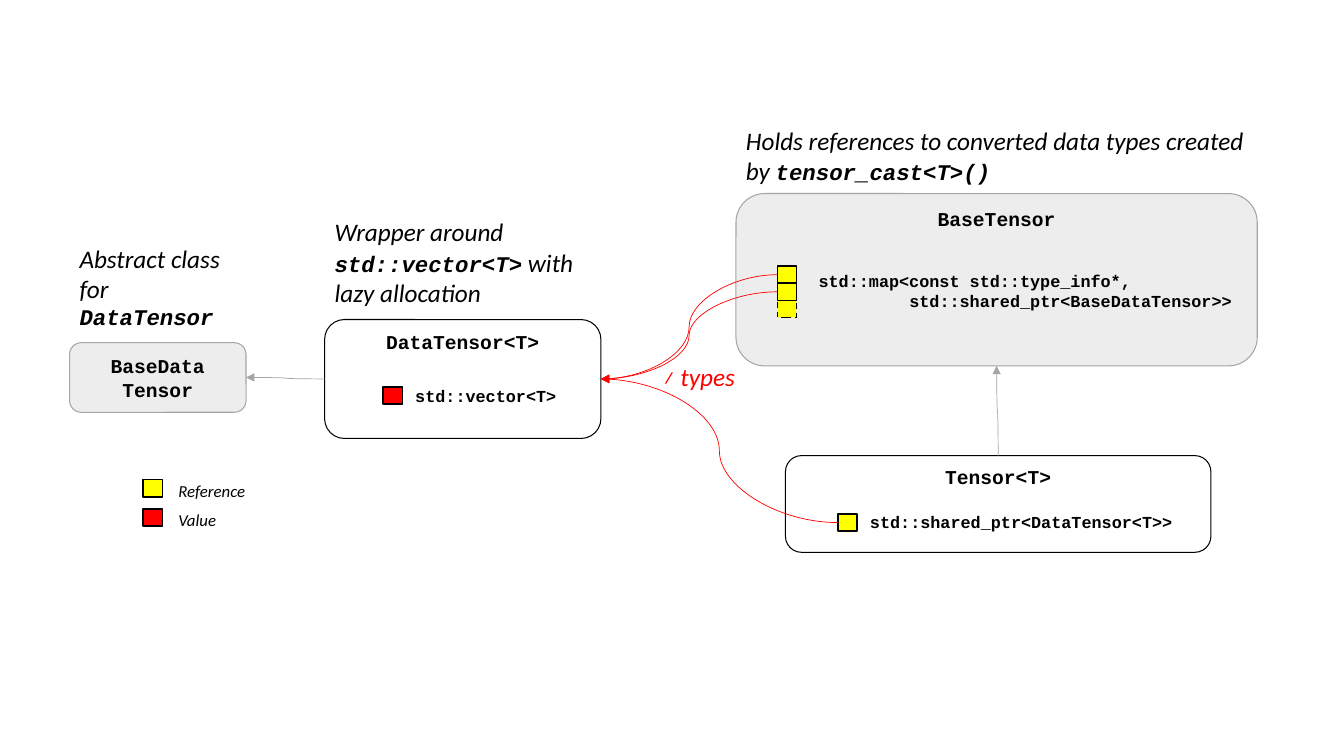
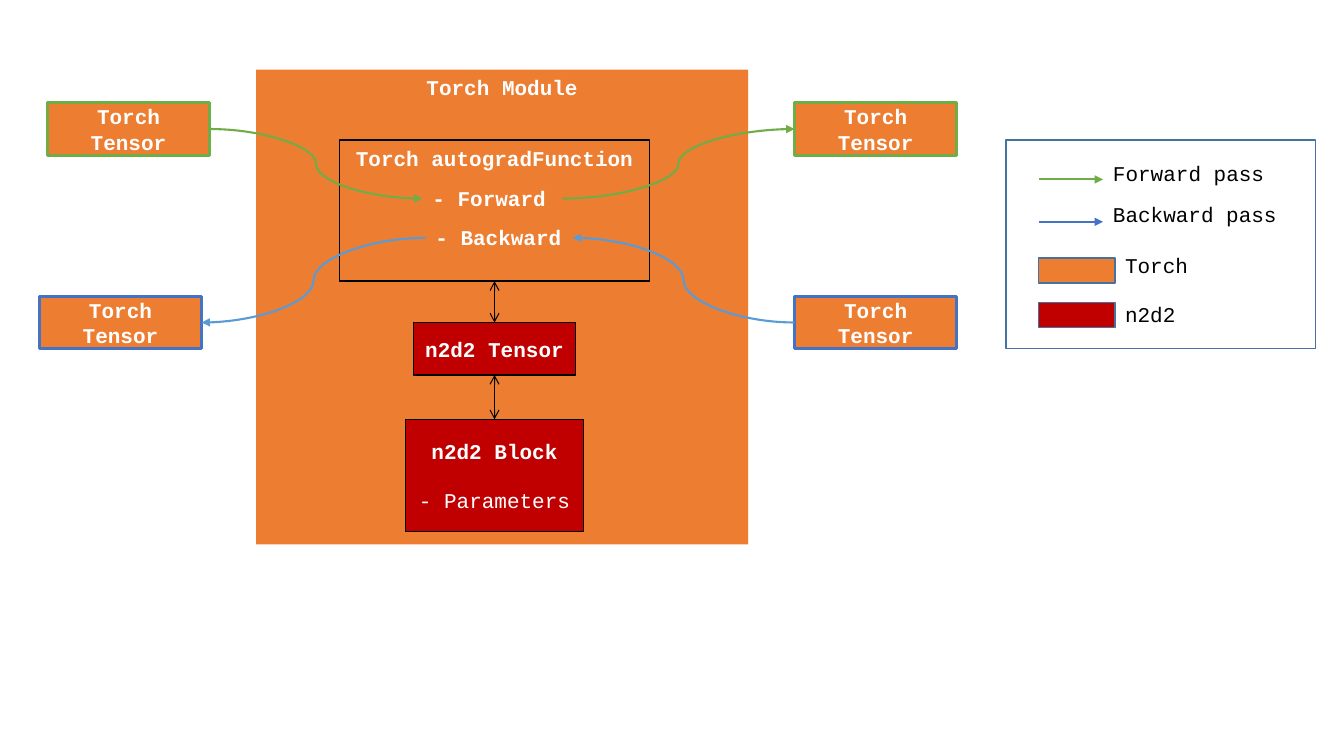
from dataclasses import dataclass
from typing import NamedTuple, Optional, Sequence

from lxml import etree
from pptx import Presentation
from pptx import util as u
from pptx.dml.color import RGBColor
from pptx.enum import dml, shapes, text
from pptx.oxml import ns

COLOURS = {
    "black": "000000",
    "white": "FFFFFF",
    "pale": "EDEDED",
    "grey": "A5A5A5",
    "yellow": "FFFF00",
    "red": "FF0000",
    "orange": "ED7D31",
    "crimson": "C00000",
    "green": "70AD47",
    "blue": "4472C4",
    "sky": "5B9BD5",
    "steel": "43739E",
}
RECTANGLE = shapes.MSO_SHAPE.RECTANGLE
ROUNDED = shapes.MSO_SHAPE.ROUNDED_RECTANGLE
MIDDLE, TOP = text.MSO_ANCHOR.MIDDLE, text.MSO_ANCHOR.TOP


class Point(NamedTuple):
    x: float
    y: float


class Style(NamedTuple):
    font: str
    size: float
    bold: bool = False
    italic: bool = False
    colour: str = "black"


class Run(NamedTuple):
    words: str
    style: Style


class Paragraph(NamedTuple):
    runs: Sequence[Run]
    indent: float = 0
    space_before: float = 0


@dataclass(frozen=True)
class Box:
    left: float
    top: float
    width: float
    height: float
    fill: Optional[str] = None
    line: Optional[str] = None
    weight: float = 1
    preset: shapes.MSO_SHAPE = RECTANGLE
    paragraphs: Sequence[Paragraph] = ()
    anchor: text.MSO_ANCHOR = TOP
    dashed: bool = False

    @property
    def west(self) -> Point:
        return Point(self.left, self.top + self.height / 2)

    @property
    def east(self) -> Point:
        return Point(self.left + self.width, self.top + self.height / 2)

    @property
    def north(self) -> Point:
        return Point(self.left + self.width / 2, self.top)

    @property
    def south(self) -> Point:
        return Point(self.left + self.width / 2, self.top + self.height)


@dataclass(frozen=True)
class Label:
    left: float
    top: float
    width: float
    height: float
    paragraphs: Sequence[Paragraph]
    wrap: bool = False


@dataclass(frozen=True)
class Curve:
    start: Point
    end: Point
    colour: str
    weight: float
    vertical: bool = False


HEADING = Style("Courier New", 14, bold=True)
MEMBER = Style("Courier New", 12, bold=True)
NOTE = Style("Calibri", 18, italic=True)
NOTE_CODE = Style("Courier New", 16, bold=True, italic=True)
LEGEND = Style("Calibri", 12, italic=True)
MODULE = Style("Courier New", 15, bold=True, colour="white")
MODULE_PLAIN = MODULE._replace(bold=False)
MODULE_LEGEND = MODULE_PLAIN._replace(colour="black")


def rgb(name: str) -> RGBColor:
    return RGBColor.from_string(COLOURS[name])


def one(words: str, style: Style) -> list[Paragraph]:
    return [Paragraph([Run(words, style)])]


def write(frame, paragraphs: Sequence[Paragraph], alignment: text.PP_ALIGN) -> None:
    for index, content in enumerate(paragraphs):
        paragraph = frame.add_paragraph() if index else frame.paragraphs[0]
        paragraph.alignment = alignment
        paragraph.space_before = u.Pt(content.space_before)
        if content.indent:
            properties = paragraph._p.get_or_add_pPr()
            properties.set("marL", str(u.Inches(content.indent)))
        for words, style in content.runs:
            for line_index, line in enumerate(words.split("\n")):
                if line_index:
                    paragraph.add_line_break()
                run = paragraph.add_run()
                run.text = line
                run.font.name = style.font
                run.font.size = u.Pt(style.size)
                run.font.bold = style.bold
                run.font.italic = style.italic
                run.font.color.rgb = rgb(style.colour)


def draw_box(slide, box: Box):
    shape = slide.shapes.add_shape(
        box.preset, u.Inches(box.left), u.Inches(box.top),
        u.Inches(box.width), u.Inches(box.height))
    shape.shadow.inherit = False
    if box.fill:
        shape.fill.solid()
        shape.fill.fore_color.rgb = rgb(box.fill)
    else:
        shape.fill.background()
    if box.line:
        shape.line.color.rgb = rgb(box.line)
        shape.line.width = u.Pt(box.weight)
        if box.dashed:
            shape.line.dash_style = dml.MSO_LINE.DASH
    else:
        shape.line.fill.background()
    shape.text_frame.vertical_anchor = box.anchor
    write(shape.text_frame, box.paragraphs, text.PP_ALIGN.CENTER)
    return shape


def draw_label(slide, label: Label) -> None:
    frame = slide.shapes.add_textbox(
        u.Inches(label.left), u.Inches(label.top),
        u.Inches(label.width), u.Inches(label.height)).text_frame
    frame.word_wrap = label.wrap
    frame.auto_size = text.MSO_AUTO_SIZE.SHAPE_TO_FIT_TEXT
    write(frame, label.paragraphs, text.PP_ALIGN.LEFT)


def draw_connector(slide, kind: shapes.MSO_CONNECTOR, start: Point, end: Point,
                   colour: str, weight: float, tail: str = "triangle", head: str = "none"):
    connector = slide.shapes.add_connector(kind, *(u.Inches(value) for value in (*start, *end)))
    connector.line.color.rgb = rgb(colour)
    connector.line.width = u.Pt(weight)
    properties = connector.element.spPr
    line = properties.get_or_add_ln()
    etree.SubElement(line, ns.qn("a:headEnd"), type=head)
    etree.SubElement(line, ns.qn("a:tailEnd"), type=tail)
    etree.SubElement(properties, ns.qn("a:effectLst"))
    return connector


def draw_curve(slide, curve: Curve) -> None:
    start, end = curve.start, curve.end
    if curve.vertical:
        middle = Point((start.x + end.x) / 2, (start.y + end.y) / 2)
        across, down = (start.y - end.y) / 2, (end.x - start.x) / 2
        start = Point(middle.x - across, middle.y - down)
        end = Point(middle.x + across, middle.y + down)
    connector = draw_connector(slide, shapes.MSO_CONNECTOR.CURVE, start, end,
                               curve.colour, curve.weight)
    if curve.vertical:
        connector.element.spPr.find(ns.qn("a:xfrm")).set("rot", str(270 * 60000))


def marker(left: float, top: float, fill: str, dashed: bool = False) -> Box:
    return Box(left, top, 0.19, 0.17, fill, "black", dashed=dashed)


def class_box(left: float, top: float, width: float, height: float, name: str,
              base: bool = False, anchor: text.MSO_ANCHOR = TOP) -> Box:
    fill, line = ("pale", "grey") if base else ("white", "black")
    return Box(left, top, width, height, fill, line, 0.75, ROUNDED, one(name, HEADING), anchor)


def build_class_slide(slide) -> None:
    base_data = class_box(0.69, 3.4, 1.75, 0.69, "BaseData\nTensor", True, MIDDLE)
    data_tensor = class_box(3.22, 3.17, 2.74, 1.18, "DataTensor<T>")
    base_tensor = class_box(7.3, 1.92, 5.17, 1.71, "BaseTensor", True)
    tensor = class_box(7.79, 4.52, 4.22, 0.96, "Tensor<T>")
    pointer = marker(8.31, 5.1, "yellow")
    first, second, later = (
        marker(7.71, 2.64 + row * 0.17, "yellow", row == 2) for row in range(3))
    value = marker(3.8, 3.84, "red")
    key = [marker(1.42, 4.76 + row * 0.29, fill) for row, fill in enumerate(("yellow", "red"))]

    for box in (base_data, data_tensor, base_tensor, tensor, pointer, later,
                first, second, value, *key):
        draw_box(slide, box)
    draw_curve(slide, Curve(tensor.north, base_tensor.south, "grey", 0.5, True))
    draw_curve(slide, Curve(data_tensor.west, base_data.east, "grey", 0.5))
    for source in (pointer, first, second):
        draw_curve(slide, Curve(source.west, data_tensor.east, "red", 0.5))

    labels = [
        Label(8.53, 5.03, 3.25, 0.3, one("std::shared_ptr<DataTensor<T>>", MEMBER)),
        Label(8.02, 2.64, 4.55, 0.5, [
            Paragraph([Run("std::map<const std::type_info*,", MEMBER)]),
            Paragraph([Run("std::shared_ptr<BaseDataTensor>>", MEMBER)], indent=0.9)], True),
        Label(4.02, 3.78, 1.63, 0.3, one("std::vector<T>", MEMBER)),
        Label(1.67, 4.72, 0.87, 0.3, one("Reference", LEGEND)),
        Label(1.67, 5.01, 0.58, 0.3, one("Value", LEGEND)),
        Label(3.22, 2.1, 2.74, 1.01, [Paragraph([
            Run("Wrapper around ", NOTE), Run("std::vector<T>", NOTE_CODE),
            Run(" with lazy allocation", NOTE)])], True),
        Label(6.47, 3.54, 1.75, 0.4, one("≠ types", NOTE._replace(colour="red")), True),
        Label(7.3, 1.19, 5.17, 0.71, [Paragraph([
            Run("Holds references to converted data types created by ", NOTE),
            Run("tensor_cast<T>()", NOTE_CODE)])], True),
        Label(0.69, 2.36, 1.75, 0.98,
              one("Abstract class for", NOTE) + one("DataTensor", NOTE_CODE), True),
    ]
    for label in labels:
        draw_label(slide, label)


def torch_tensor(left: float, top: float, line: str) -> Box:
    return Box(left, top, 1.61, 0.52, "orange", line, 2.25,
               paragraphs=one("Torch Tensor", MODULE), anchor=MIDDLE)


def build_module_slide(slide) -> None:
    module = Box(2.54, 0.69, 4.88, 4.71, "orange", paragraphs=one("Torch Module", MODULE))
    autograd = Box(3.37, 1.39, 3.07, 1.4, "orange", "black",
                   paragraphs=one("Torch autogradFunction", MODULE))
    block = Box(4.02, 4.16, 1.77, 1.11, "crimson", "black", 0.5, anchor=MIDDLE, paragraphs=[
        Paragraph([Run("n2d2 Block", MODULE)]),
        Paragraph([Run("- Parameters", MODULE_PLAIN)], space_before=17)])
    inner = Box(4.1, 3.2, 1.61, 0.52, "crimson", "black",
                paragraphs=one("n2d2 Tensor", MODULE), anchor=MIDDLE)
    forward_in = torch_tensor(0.47, 1.02, "green")
    forward_out = torch_tensor(7.88, 1.02, "green")
    backward_out = torch_tensor(0.39, 2.94, "blue")
    backward_in = torch_tensor(7.88, 2.94, "blue")

    for box in (module, forward_in, forward_out, backward_out, backward_in):
        draw_box(slide, box)
    stack = [(box, draw_box(slide, box)) for box in (autograd, inner, block)]
    for (upper, upper_shape), (lower, lower_shape) in zip(stack, stack[1:]):
        link = draw_connector(slide, shapes.MSO_CONNECTOR.STRAIGHT, lower.north, upper.south,
                              "black", 0.75, "arrow", "arrow")
        link.begin_connect(lower_shape, 0)
        link.end_connect(upper_shape, 2)

    forward = Label(4.19, 1.79, 1.39, 0.35, one("- Forward", MODULE), True)
    backward = Label(4.22, 2.18, 1.46, 0.35, one("- Backward", MODULE))
    for curve in (
        Curve(Point(backward.left, 2.36), backward_out.east, "sky", 1.5),
        Curve(backward_in.west, Point(backward.left + backward.width, 2.36), "sky", 1.5),
        Curve(Point(forward.left + forward.width, 1.97), forward_out.west, "green", 1.5),
        Curve(forward_in.east, Point(forward.left, 1.97), "green", 1.5),
    ):
        draw_curve(slide, curve)

    draw_box(slide, Box(9.98, 1.39, 3.07, 2.07, line="steel"))
    for y, colour in ((1.78, "green"), (2.2, "blue")):
        draw_connector(slide, shapes.MSO_CONNECTOR.STRAIGHT, Point(10.3, y), Point(10.94, y),
                       colour, 1.5)
    for top, fill in ((2.56, "orange"), (3, "crimson")):
        draw_box(slide, Box(10.3, top, 0.76, 0.25, fill, "steel"))
    entries = ((10.94, 1.54, 1.72, "Forward pass"), (10.94, 1.95, 1.84, "Backward pass"),
               (11.06, 2.46, 0.83, "Torch"), (11.06, 2.94, 0.71, "n2d2"))
    legend = [Label(left, top, width, 0.35, one(words, MODULE_LEGEND))
              for left, top, width, words in entries]
    for label in (forward, backward, *legend):
        draw_label(slide, label)


def main() -> None:
    presentation = Presentation()
    presentation.slide_width = u.Inches(13.33)
    presentation.slide_height = u.Inches(7.5)
    for build in (build_class_slide, build_module_slide):
        build(presentation.slides.add_slide(presentation.slide_layouts[6]))
    presentation.save("out.pptx")


if __name__ == "__main__":
    main()
